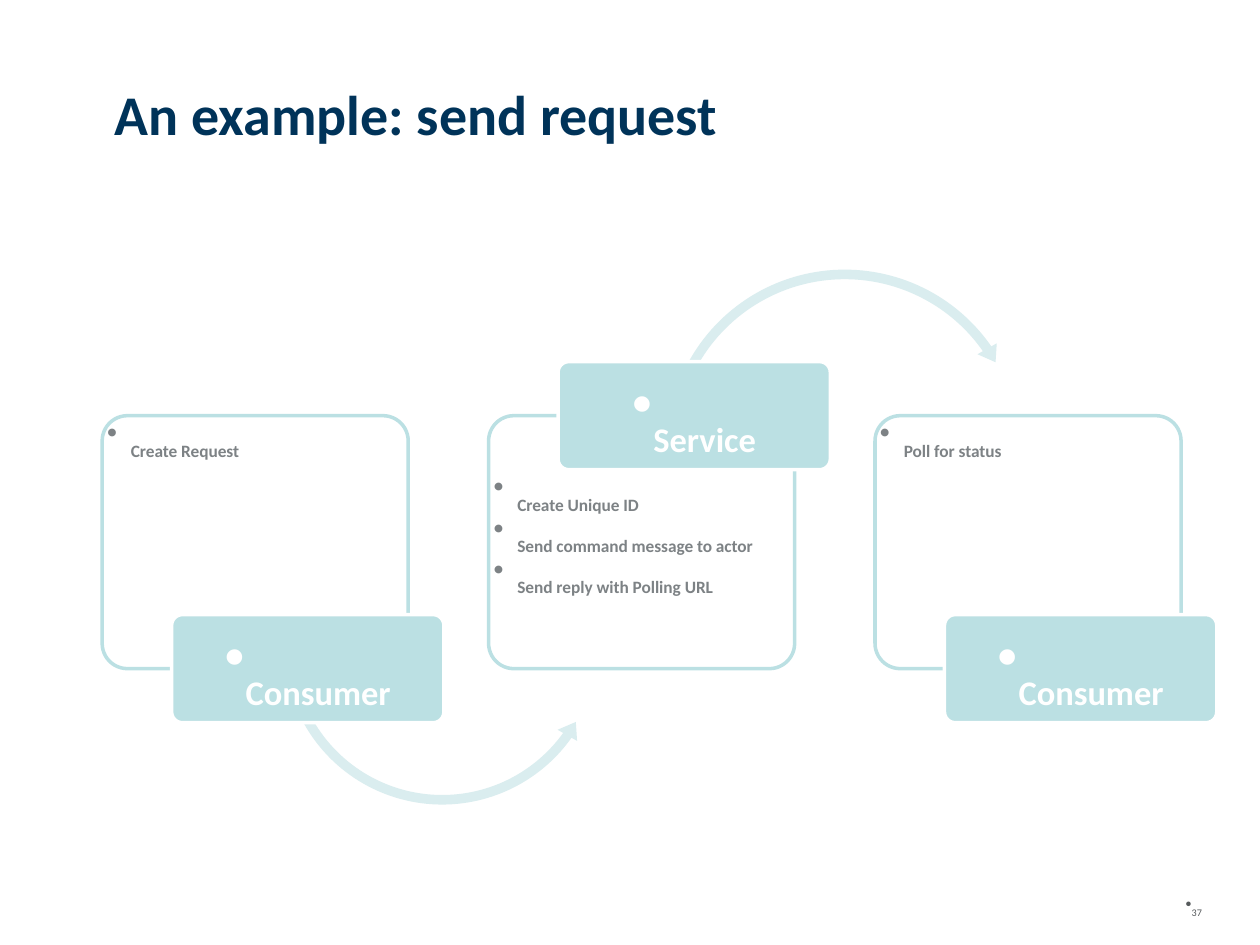
from lxml.etree import SubElement
from pptx import Presentation
from pptx.dml.color import RGBColor
from pptx.enum.shapes import MSO_SHAPE
from pptx.enum.text import MSO_ANCHOR, PP_ALIGN
from pptx.oxml.ns import qn
from pptx.util import Cm, Pt

COLOURS = {"title": "003359", "tab": "BBE0E3", "arrow": "DAEDEF",
           "white": "FFFFFF", "task": "7D8285", "number": "565A5C"}
FONT = "Calibri"

TITLE = {"size": 32, "colour": "title", "bold": True, "spacing": 0.9}
TASK = {"size": 17, "colour": "task", "bold": True, "spacing": 0.9, "after": 15,
        "hanging": 0.48, "bullet": True}
ACTOR = {"size": 34, "colour": "white", "bold": True, "spacing": 0.9, "after": 35,
         "align": PP_ALIGN.CENTER, "bullet": True}
NUMBER = {"size": 10, "colour": "number", "bold": False, "bullet": True}

PANEL_WIDTH, PANEL_HEIGHT, PANEL_PITCH = 6.17, 5.1, 7.79
TAB_WIDTH, TAB_HEIGHT, TAB_SHIFT = 5.49, 2.18, 1.4

LEFT_ARROW = (MSO_SHAPE.LEFT_CIRCULAR_ARROW, 3.53, 1.32, 6.65,
              (0.029, 3.543, 21.298, 90.245, 0.034))
RIGHT_ARROW = (MSO_SHAPE.CIRCULAR_ARROW, 3.46, -3.07, 7.44,
               (0.026, 3.143, 195.101, 125.755, 0.03))
STEPS = [
    ("Consumer", ["Create Request"], False, LEFT_ARROW),
    ("Service", ["Create Unique ID", "Send command message to actor",
                 "Send reply with Polling URL"], True, RIGHT_ARROW),
    ("Consumer", ["Poll for status"], False, None),
]


def colour(name):
    return RGBColor.from_string(COLOURS[name])


def write(frame, lines, style, insets=(0.25, 0.13), anchor=MSO_ANCHOR.TOP):
    """Fill a text frame with one paragraph per line in the given style."""
    across, down = insets
    settings = {"word_wrap": True, "vertical_anchor": anchor,
                "margin_left": Cm(across), "margin_right": Cm(across),
                "margin_top": Cm(down), "margin_bottom": Cm(down)}
    for name, value in settings.items():
        setattr(frame, name, value)
    for index, line in enumerate(lines):
        para = frame.add_paragraph() if index else frame.paragraphs[0]
        para.alignment = style.get("align", PP_ALIGN.LEFT)
        para.line_spacing = style.get("spacing")
        span = para.add_run()
        span.text = line
        font = {"name": FONT, "size": Pt(style["size"]), "bold": style["bold"]}
        for name, value in font.items():
            setattr(span.font, name, value)
        span.font.color.rgb = colour(style["colour"])
        if style.get("bullet"):
            add_bullet(para, span, style)


def add_bullet(para, span, style):
    """Give a paragraph a bullet, a hanging indent and lowered text."""
    properties = para._p.get_or_add_pPr()
    hanging = Cm(style.get("hanging", 0))
    properties.set("marL", str(hanging))
    properties.set("indent", str(-hanging))
    if "after" in style:
        after = SubElement(properties, qn("a:spcAft"))
        SubElement(after, qn("a:spcPct")).set("val", str(style["after"] * 1000))
    SubElement(properties, qn("a:buChar")).set("char", "•")
    span.font._element.set("baseline", "-25000")


def add_text(page, box, lines, style, **layout):
    text_box = page.shapes.add_textbox(*map(Cm, box))
    write(text_box.text_frame, lines, style, **layout)


def add_block(page, kind, box, adjustments, fill, line=None):
    block = page.shapes.add_shape(kind, *map(Cm, box))
    block.shadow.inherit = False
    for index, value in enumerate(adjustments):
        block.adjustments[index] = value
    block.fill.solid()
    block.fill.fore_color.rgb = colour(fill)
    if line:
        block.line.color.rgb = colour(line)
        block.line.width = Pt(2)
    else:
        block.line.fill.background()
    return block


def add_step(page, left, top, actor, tasks, tab_on_top, arrow):
    """Panel of tasks with the actor's tab straddling its top or bottom edge."""
    half_tab = TAB_HEIGHT / 2
    add_block(page, MSO_SHAPE.ROUNDED_RECTANGLE, (left, top, PANEL_WIDTH, PANEL_HEIGHT),
              [0.1], "white", "tab")
    text_top = top + half_tab if tab_on_top else top
    add_text(page, (left, text_top, PANEL_WIDTH, PANEL_HEIGHT - half_tab),
             tasks, TASK, insets=(0.1, 0.1))
    if arrow:
        kind, right, down, size, adjustments = arrow
        add_block(page, kind, (left + right, top + down, size, size), adjustments, "arrow")
    tab_top = top - half_tab if tab_on_top else top + PANEL_HEIGHT - half_tab
    tab = add_block(page, MSO_SHAPE.ROUNDED_RECTANGLE,
                    (left + TAB_SHIFT, tab_top, TAB_WIDTH, TAB_HEIGHT), [0.1], "tab", "white")
    write(tab.text_frame, [actor], ACTOR, insets=(0.18, 0.12), anchor=MSO_ANCHOR.MIDDLE)


def add_process(page, left, top):
    for index, step in enumerate(STEPS):
        add_step(page, left + index * PANEL_PITCH, top, *step)


def add_title(page, box, text):
    title = page.shapes.title
    for name, value in zip(("left", "top", "width", "height"), box):
        setattr(title, name, Cm(value))
    write(title.text_frame, [text], TITLE)


def main():
    deck = Presentation()
    deck.slide_width, deck.slide_height = Cm(25.4), Cm(19.05)
    page = deck.slides.add_slide(deck.slide_layouts[5])
    add_title(page, (2.06, 1.63, 22.45, 2.54), "An example: send request")
    add_process(page, 2.06, 8.38)
    add_text(page, (23.65, 17.91, 1.02, 0.89), ["37"], NUMBER)
    deck.save("out.pptx")


if __name__ == "__main__":
    main()
